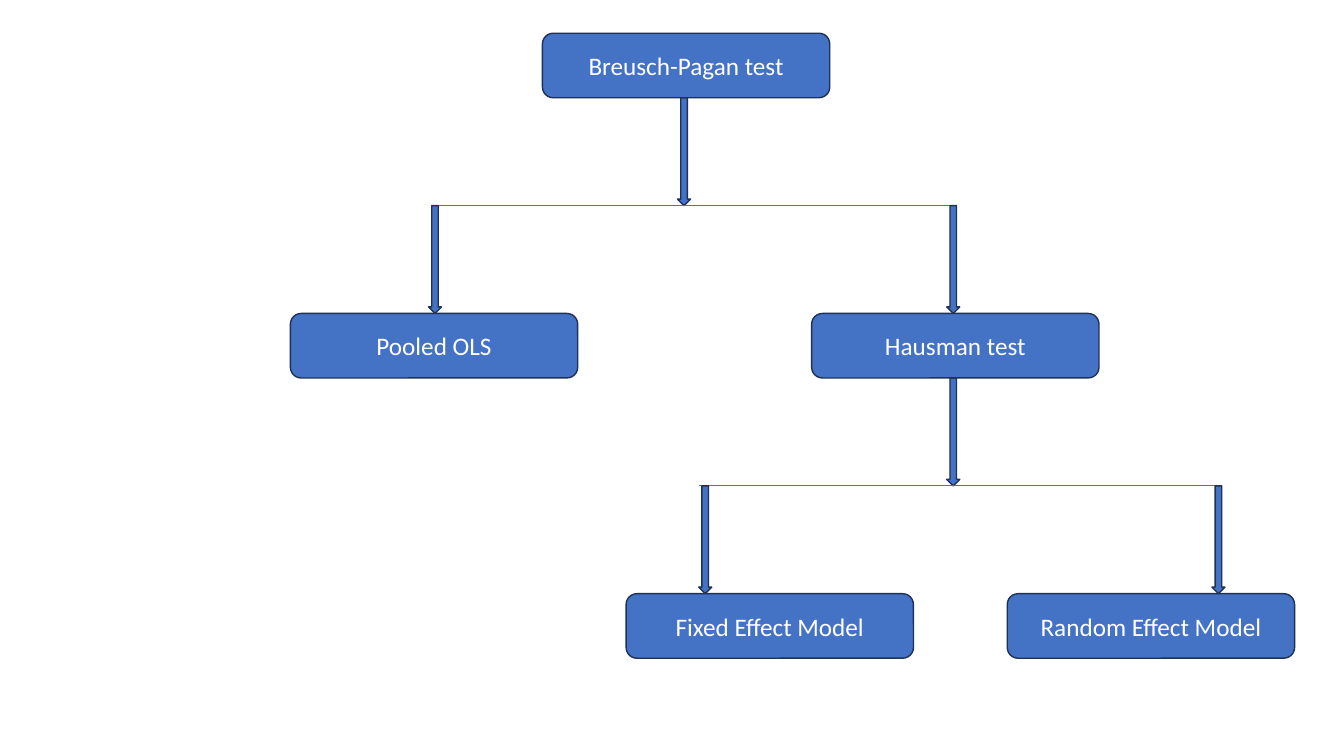
from lxml.etree import SubElement
from pptx import Presentation
from pptx.dml.color import RGBColor
from pptx.enum.shapes import MSO_CONNECTOR, MSO_SHAPE
from pptx.enum.text import MSO_ANCHOR, PP_ALIGN
from pptx.oxml.ns import qn
from pptx.util import Inches, Pt

COLORS = {"fill": "4472C4", "outline": "1E3256", "branch": "4472C4", "text": "FFFFFF"}

# label, left edge, level in the tree
STEPS = [
    ("Breusch-Pagan test", 5.38, 0),
    ("Pooled OLS", 2.88, 1),
    ("Hausman test", 8.05, 1),
    ("Fixed Effect Model", 6.21, 2),
    ("Random Effect Model", 9.99, 2),
]
# level of the test, left edge of its arrow, branch ends, left edges of the outcome arrows
DECISIONS = [
    (0, 6.72, (4.3, 9.46), (4.25, 9.39)),
    (1, 9.39, (6.93, 12.09), (6.93, 12.02)),
]

FIRST_TOP = 0.33
BOX_WIDTH, BOX_HEIGHT = 2.85, 0.64
ARROW_WIDTH, ARROW_HEIGHT = 0.13, 1.07
LEVEL_STEP = BOX_HEIGHT + 2 * ARROW_HEIGHT
TEXT_FORMAT = {"name": "Calibri", "size": Pt(18)}


def color(role):
    return RGBColor.from_string(COLORS[role])


def level_top(level):
    return FIRST_TOP + level * LEVEL_STEP


def add_block(slide, preset, left, top, width, height):
    """Add a filled, outlined shape without a shadow."""
    block = slide.shapes.add_shape(
        preset, Inches(left), Inches(top), Inches(width), Inches(height))
    block.shadow.inherit = False
    block.fill.solid()
    block.fill.fore_color.rgb = color("fill")
    block.line.color.rgb = color("outline")
    block.line.width = Pt(1)
    return block


def add_arrow(slide, left, top):
    add_block(slide, MSO_SHAPE.DOWN_ARROW, left, top, ARROW_WIDTH, ARROW_HEIGHT)


def add_step(slide, label, left, level):
    step = add_block(slide, MSO_SHAPE.ROUNDED_RECTANGLE,
                     left, level_top(level), BOX_WIDTH, BOX_HEIGHT)
    step.text_frame.vertical_anchor = MSO_ANCHOR.MIDDLE
    paragraph = step.text_frame.paragraphs[0]
    paragraph.alignment = PP_ALIGN.CENTER
    run = paragraph.add_run()
    run.text = label
    for attribute, value in TEXT_FORMAT.items():
        setattr(run.font, attribute, value)
    run.font.color.rgb = color("text")


def add_decision(slide, level, stem_left, branch_ends, outcome_lefts):
    stem_top = level_top(level) + BOX_HEIGHT
    branch_top = stem_top + ARROW_HEIGHT
    add_arrow(slide, stem_left, stem_top)
    start, end = branch_ends
    branch = slide.shapes.add_connector(
        MSO_CONNECTOR.STRAIGHT, Inches(start), Inches(branch_top),
        Inches(end), Inches(branch_top))
    branch.line.color.rgb = color("branch")
    branch.line.width = Pt(0.5)
    SubElement(branch._element.spPr, qn("a:effectLst"))
    for left in outcome_lefts:
        add_arrow(slide, left, branch_top)


def main():
    presentation = Presentation()
    presentation.slide_width = Inches(13.33)
    presentation.slide_height = Inches(7.5)
    slide = presentation.slides.add_slide(presentation.slide_layouts[6])
    for decision in DECISIONS:
        add_decision(slide, *decision)
    for step in STEPS:
        add_step(slide, *step)
    presentation.save("out.pptx")


if __name__ == "__main__":
    main()
